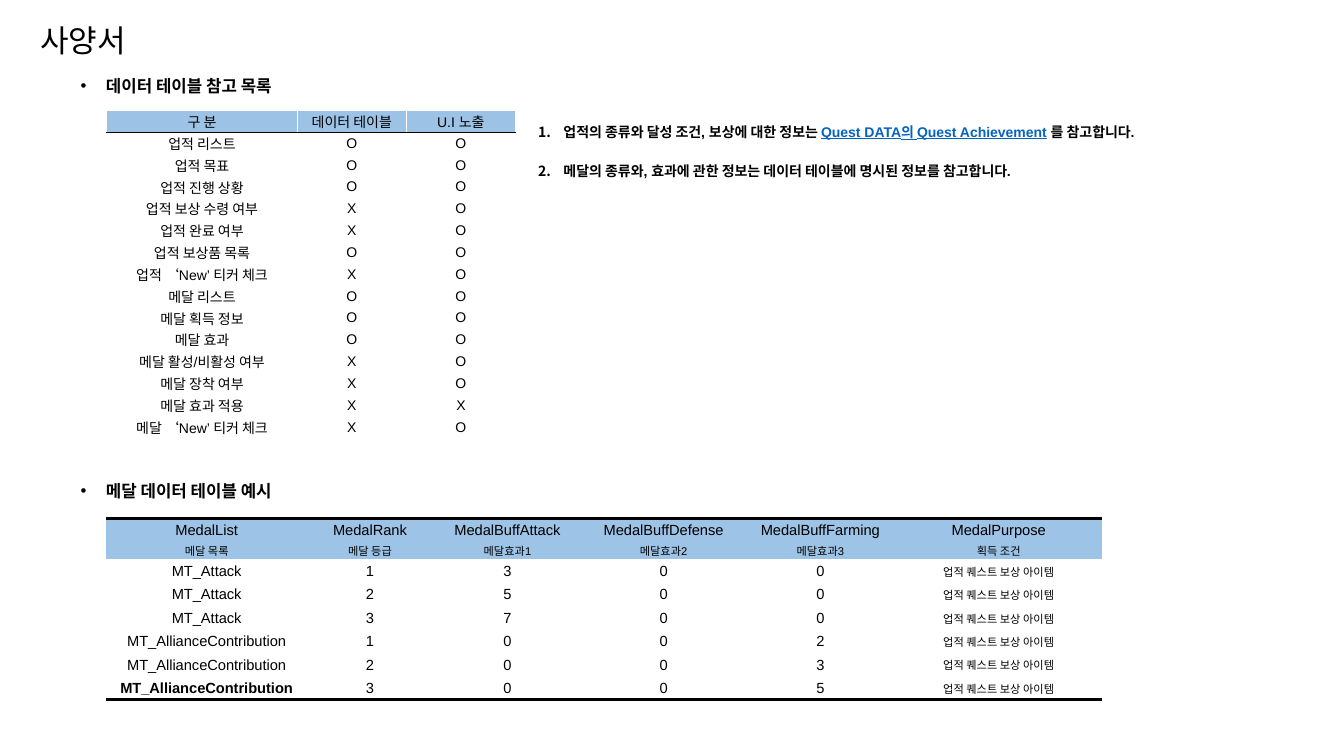
from dataclasses import dataclass

from lxml.etree import SubElement
from pptx import Presentation
from pptx.dml.color import RGBColor
from pptx.enum.text import MSO_ANCHOR, PP_ALIGN
from pptx.oxml.ns import qn
from pptx.util import Cm, Pt

FONT = "Arial"
COLORS = {"text": "000000", "link": "0563C1", "paper": "FFFFFF",
          "reference_header": "9CC2E5", "medal_header": "9DC3E6"}
NO_STYLE = "{2D5ABB26-0587-4C30-8999-92F81FD0307C}"
REWARD = "업적 퀘스트 보상 아이템"


@dataclass
class Span:
    text: str
    color: str = "text"
    underline: bool = False


@dataclass
class TextBlock:
    left: float
    top: float
    width: float
    height: float
    paragraphs: list[list[Span]]
    size: float
    bold: bool = True
    line_spacing: float = 1.5
    bullet: tuple[str, str, str] | None = None  # element, attribute, value
    space_before: float = 0


@dataclass
class Grid:
    left: float
    top: float
    columns: list[float]
    heights: list[float]
    rows: list[tuple[str, ...]]
    header_rows: int
    header_color: str


@dataclass
class Edge:
    side: str
    color: str
    width: float


DOT = ("a:buChar", "char", "•")
NUMBER = ("a:buAutoNum", "type", "arabicPeriod")

BLOCKS = [
    TextBlock(0.76, 0.03, 16.48, 1.63, [[Span("사양서")]], 22.2, False, 1.4),
    TextBlock(1.78, 1.52, 12.47, 1.63, [[Span("데이터 테이블 참고 목록")]], 12, bullet=DOT),
    TextBlock(1.78, 11.73, 12.47, 1.63, [[Span("메달 데이터 테이블 예시")]], 12, bullet=DOT),
    TextBlock(13.31, 2.77, 20.55, 5.99, [
        [Span("업적의 종류와 달성 조건, 보상에 대한 정보는 "),
         Span("Quest DATA의 Quest Achievement", "link", True),
         Span(" 를 참고합니다.")],
        [Span("메달의 종류와, 효과에 관한 정보는 데이터 테이블에 명시된 정보를 참고합니다.")],
    ], 10, bullet=NUMBER, space_before=10),
]

REFERENCE_ROWS = [
    ("구 분", "데이터 테이블", "U.I 노출"),
    ("업적 리스트", "O", "O"),
    ("업적 목표", "O", "O"),
    ("업적 진행 상황", "O", "O"),
    ("업적 보상 수령 여부", "X", "O"),
    ("업적 완료 여부", "X", "O"),
    ("업적 보상품 목록", "O", "O"),
    ("업적 ‘New’ 티커 체크", "X", "O"),
    ("메달 리스트", "O", "O"),
    ("메달 획득 정보", "O", "O"),
    ("메달 효과", "O", "O"),
    ("메달 활성/비활성 여부", "X", "O"),
    ("메달 장착 여부", "X", "O"),
    ("메달 효과 적용", "X", "X"),
    ("메달 ‘New’ 티커 체크", "X", "O"),
]
MEDAL_ROWS = [
    ("MedalList", "MedalRank", "MedalBuffAttack", "MedalBuffDefense",
     "MedalBuffFarming", "MedalPurpose"),
    ("메달 목록", "메달 등급", "메달효과1", "메달효과2", "메달효과3", "획득 조건"),
    ("MT_Attack", "1", "3", "0", "0", REWARD),
    ("MT_Attack", "2", "5", "0", "0", REWARD),
    ("MT_Attack", "3", "7", "0", "0", REWARD),
    ("MT_AllianceContribution", "1", "0", "0", "2", REWARD),
    ("MT_AllianceContribution", "2", "0", "0", "3", REWARD),
    ("MT_AllianceContribution", "3", "0", "0", "5", REWARD),
]
REFERENCE = Grid(2.69, 2.78, [4.8, 2.75, 2.75], [0.55] * len(REFERENCE_ROWS),
                 REFERENCE_ROWS, 1, "reference_header")
MEDALS = Grid(2.67, 13.06, [5.08, 3.15, 3.78, 4.09, 3.81, 5.18],
              [0.59, 0.44] + [0.59] * 6, MEDAL_ROWS, 2, "medal_header")


def rgb(name: str) -> RGBColor:
    return RGBColor.from_string(COLORS[name])


def set_font(font, size: float, bold: bool) -> None:
    font.name, font.size, font.bold = FONT, Pt(size), bold


def add_bullet(paragraph, bullet: tuple[str, str, str]) -> None:
    tag, attribute, value = bullet
    properties = paragraph._p.get_or_add_pPr()
    properties.set("marL", str(Cm(0.64)))
    properties.set("indent", str(-Cm(0.64)))
    color = SubElement(properties, qn("a:buClr"))
    SubElement(color, qn("a:srgbClr")).set("val", COLORS["text"])
    SubElement(properties, qn("a:buFont")).set("typeface", FONT)
    SubElement(properties, qn(tag)).set(attribute, value)


def add_text(page, block: TextBlock) -> None:
    box = page.shapes.add_textbox(Cm(block.left), Cm(block.top),
                                  Cm(block.width), Cm(block.height))
    frame = box.text_frame
    frame.word_wrap = True
    for index, spans in enumerate(block.paragraphs):
        para = frame.add_paragraph() if index else frame.paragraphs[0]
        if block.bullet:
            add_bullet(para, block.bullet)
        para.line_spacing = block.line_spacing
        if index:
            para.space_before = Pt(block.space_before)
        set_font(para.font, block.size, block.bold)
        for span in spans:
            run = para.add_run()
            run.text = span.text
            run.font.color.rgb = rgb(span.color)
            if span.underline:
                run.font.underline = True


def add_edges(cell, edges: list[Edge]) -> None:
    """Draw cell borders, given in the order L, R, T, B."""
    properties = cell._tc.get_or_add_tcPr()
    for edge in edges:
        line = SubElement(properties, qn(f"a:ln{edge.side}"), w=str(Pt(edge.width)))
        fill = SubElement(line, qn("a:solidFill"))
        SubElement(fill, qn("a:srgbClr")).set("val", COLORS[edge.color])


def reference_edges(row: int) -> list[Edge]:
    """White grid with a black rule under the header."""
    top = "text" if row == 1 else "paper"
    bottom = "text" if row == 0 else "paper"
    return [Edge(side, color, 1) for side, color in
            zip("LRTB", ("paper", "paper", top, bottom))]


def medal_edges(row: int) -> list[Edge]:
    """Thick rules above the first and below the last row."""
    sides = {0: "T", len(MEDAL_ROWS) - 1: "B"}
    return [Edge(sides[row], "text", 2)] if row in sides else []


def medal_size(row: int, text: str) -> float:
    return 8 if row == 1 or text == REWARD else 10.5


def add_grid(page, grid: Grid, edges_of, size_of, bold_cell=None) -> None:
    frame = page.shapes.add_table(
        len(grid.rows), len(grid.columns), Cm(grid.left), Cm(grid.top),
        Cm(sum(grid.columns)), Cm(sum(grid.heights)))
    table = frame.table
    table.first_row = table.horz_banding = False
    table._tbl.tblPr.find(qn("a:tableStyleId")).text = NO_STYLE
    for column, width in zip(table.columns, grid.columns):
        column.width = Cm(width)
    for row, (texts, height) in enumerate(zip(grid.rows, grid.heights)):
        table.rows[row].height = Cm(height)
        for column, text in enumerate(texts):
            cell = table.cell(row, column)
            add_edges(cell, edges_of(row))
            cell.fill.solid()
            cell.fill.fore_color.rgb = rgb(
                grid.header_color if row < grid.header_rows else "paper")
            cell.margin_left = cell.margin_right = cell.margin_top = Cm(0.02)
            cell.margin_bottom = 0
            cell.vertical_anchor = MSO_ANCHOR.MIDDLE
            cell.text = text
            para = cell.text_frame.paragraphs[0]
            para.alignment = PP_ALIGN.CENTER
            set_font(para.font, size_of(row, text), (row, column) == bold_cell)
            para.font.color.rgb = rgb("text")


def main() -> None:
    deck = Presentation()
    deck.slide_width, deck.slide_height = Cm(33.87), Cm(19.05)
    page = deck.slides.add_slide(deck.slide_layouts[6])
    for block in BLOCKS:
        add_text(page, block)
    add_grid(page, REFERENCE, reference_edges, lambda row, text: 10)
    add_grid(page, MEDALS, medal_edges, medal_size, (len(MEDAL_ROWS) - 1, 0))
    deck.save("out.pptx")


if __name__ == "__main__":
    main()
